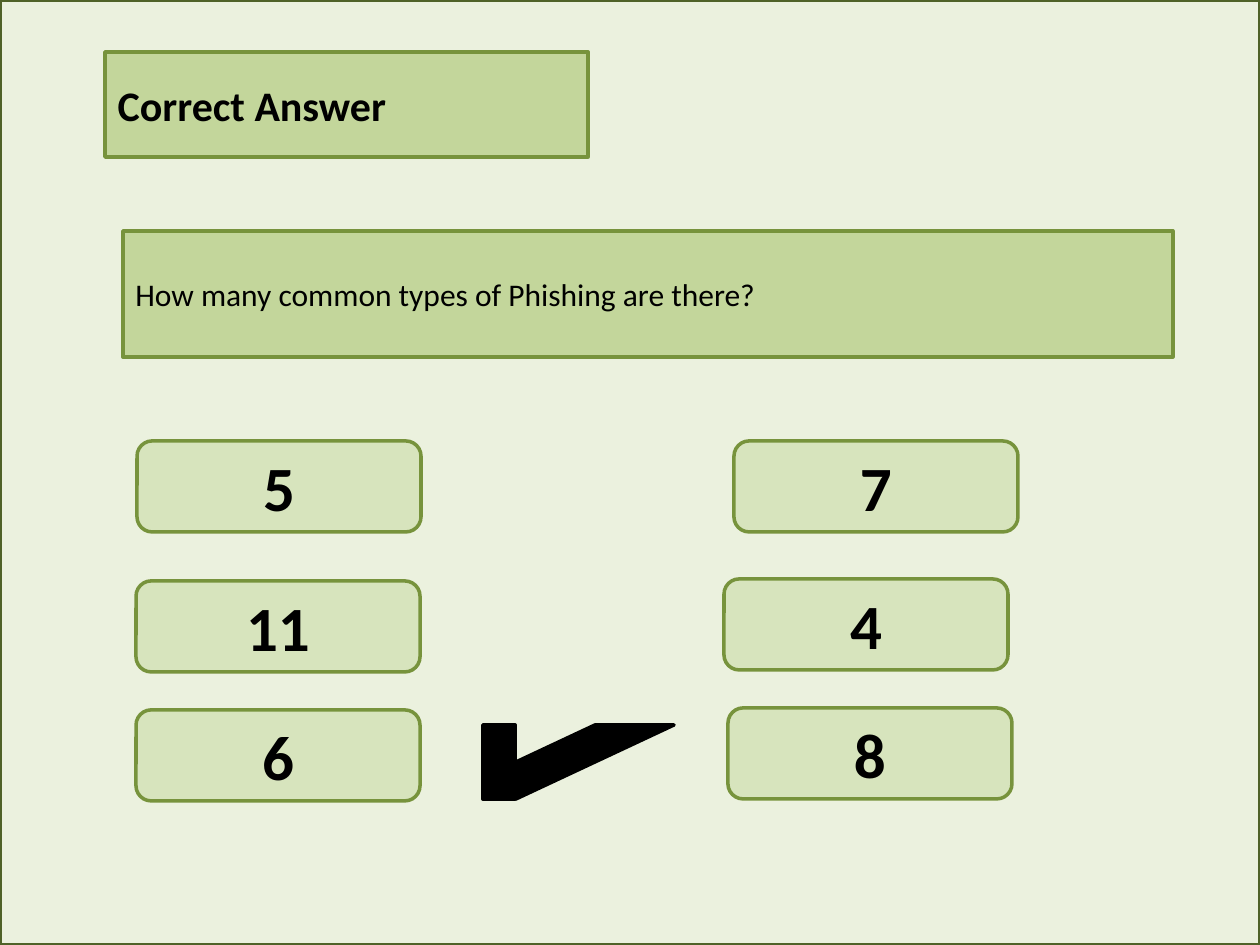
from lxml.etree import SubElement
from pptx import Presentation
from pptx.dml.color import RGBColor
from pptx.enum.shapes import MSO_SHAPE
from pptx.enum.text import MSO_ANCHOR, MSO_AUTO_SIZE, PP_ALIGN
from pptx.oxml.ns import qn
from pptx.util import Emu, Pt

EMU_PER_PX = 914400 // 126
SLIDE_SIZE = (1260, 945)
BLACK, DARK_GREEN, EDGE_GREEN = "000000", "4F6228", "77933C"
PALE_GREEN, ANSWER_GREEN, BOX_GREEN = "EBF1DE", "D7E4BD", "C3D69B"
ANSWER_SIZE = (284, 91)
ANSWERS = [
    ("5", 137, 441), ("11", 136, 581), ("6", 136, 710),
    ("8", 728, 708), ("4", 724, 579), ("7", 734, 441),
]


def px(length):
    return Emu(length * EMU_PER_PX)


def paint(shape, fill, edge):
    shape.fill.solid()
    shape.fill.fore_color.rgb = RGBColor.from_string(fill)
    shape.line.color.rgb = RGBColor.from_string(edge)
    shape.line.width = Pt(2)


def write(shape, wording, size, bold=False, align=PP_ALIGN.LEFT):
    frame = shape.text_frame
    frame.word_wrap = True
    frame.auto_size = MSO_AUTO_SIZE.NONE
    frame.vertical_anchor = MSO_ANCHOR.MIDDLE
    paragraph = frame.paragraphs[0]
    paragraph.alignment = align
    run = paragraph.add_run()
    run.text = wording
    run.font.name = "Calibri"
    run.font.size = Pt(size)
    run.font.bold = bold
    run.font.color.rgb = RGBColor.from_string(BLACK)


def add_box(slide, kind, bounds, fill, edge):
    box = slide.shapes.add_shape(kind, *map(px, bounds))
    box.shadow.inherit = False
    paint(box, fill, edge)
    return box


def add_answer(slide, wording, left, top):
    answer = add_box(slide, MSO_SHAPE.ROUNDED_RECTANGLE,
                     (left, top, *ANSWER_SIZE), ANSWER_GREEN, EDGE_GREEN)
    write(answer, wording, 36, bold=True, align=PP_ALIGN.CENTER)


def add_check_mark(slide):
    add_box(slide, MSO_SHAPE.DIAGONAL_STRIPE, (516, 725, 158, 74), BLACK, BLACK)
    add_box(slide, MSO_SHAPE.RECTANGLE, (483, 725, 32, 74), BLACK, BLACK)


def format_title(slide, wording):
    """Give the title a rounded box and bring it in front of the backdrop."""
    title = slide.shapes.title
    title.left, title.top, title.width, title.height = map(px, (105, 52, 483, 105))
    outline = SubElement(title.element.spPr, qn("a:prstGeom"), prst="roundRect")
    SubElement(outline, qn("a:avLst"))
    paint(title, BOX_GREEN, EDGE_GREEN)
    write(title, wording, 24, bold=True)
    title.element.getparent().append(title.element)


def main():
    deck = Presentation()
    deck.slide_width, deck.slide_height = map(px, SLIDE_SIZE)
    slide = deck.slides.add_slide(deck.slide_layouts[5])
    add_box(slide, MSO_SHAPE.RECTANGLE, (0, 0, *SLIDE_SIZE), PALE_GREEN, DARK_GREEN)
    question = add_box(slide, MSO_SHAPE.RECTANGLE, (123, 231, 1050, 126),
                       BOX_GREEN, EDGE_GREEN)
    write(question, "How many common types of Phishing are there?", 18)
    for answer in ANSWERS:
        add_answer(slide, *answer)
    add_check_mark(slide)
    format_title(slide, "Correct Answer")
    deck.save("out.pptx")


if __name__ == "__main__":
    main()
